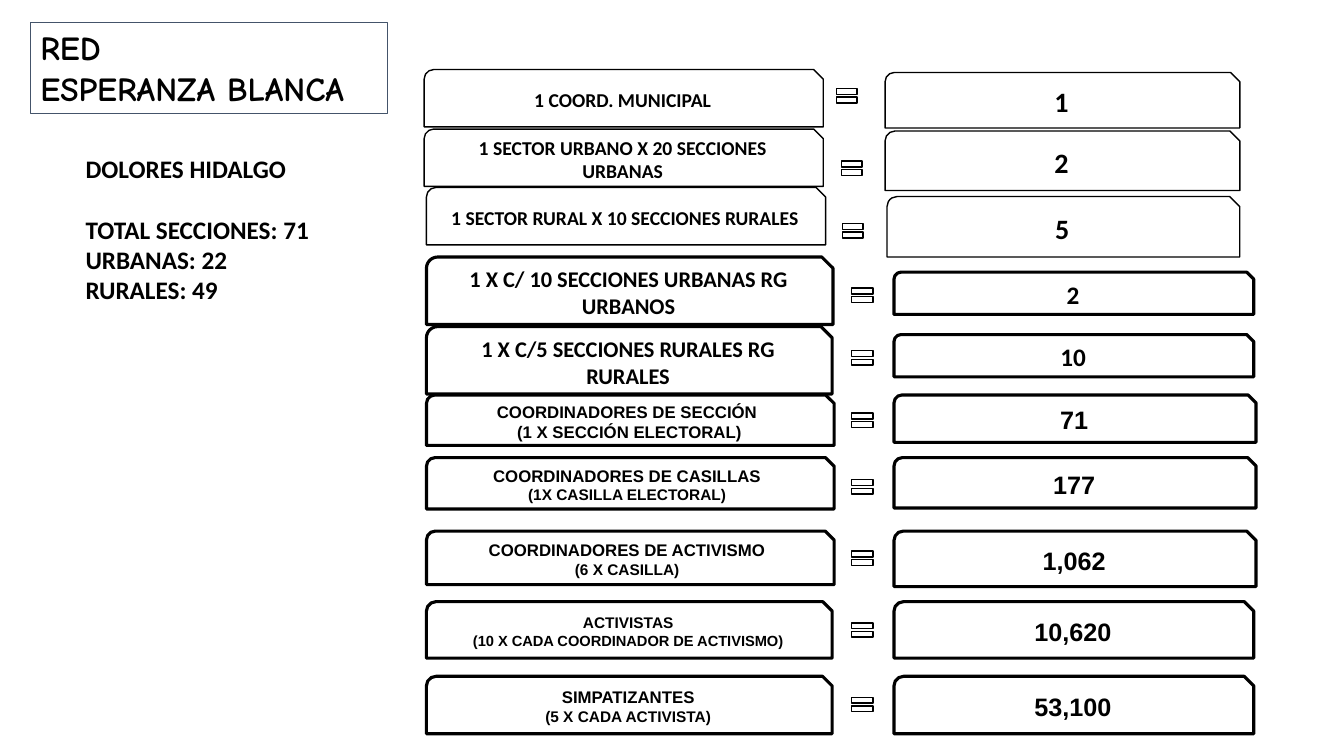
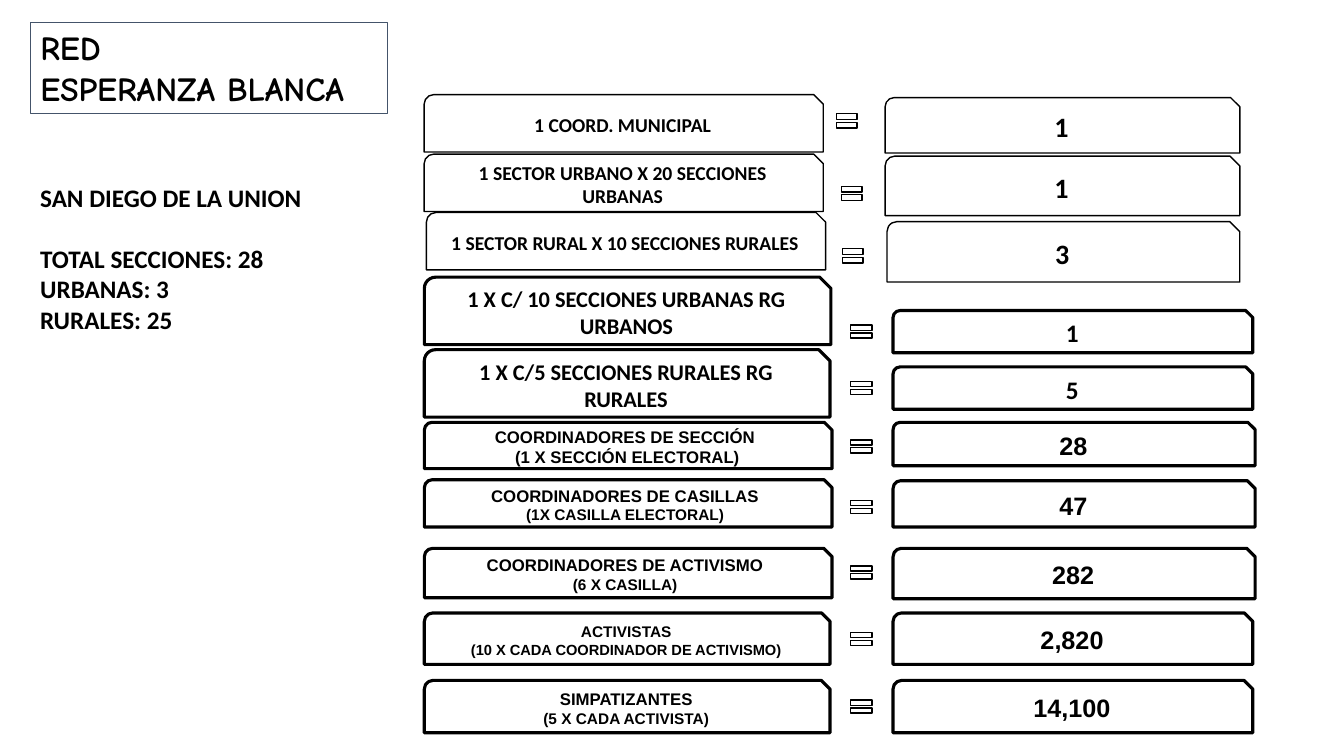
from collections import namedtuple

from pptx import Presentation
from pptx.dml.color import RGBColor
from pptx.enum.shapes import MSO_SHAPE
from pptx.enum.text import MSO_ANCHOR, PP_ALIGN
from pptx.util import Pt

BLACK = RGBColor(0x00, 0x00, 0x00)
WHITE = RGBColor(0xFF, 0xFF, 0xFF)
SLATE = RGBColor(0x44, 0x54, 0x6A)
BODY_FONT, ROLE_FONT, TITLE_FONT = "Calibri", "Arial", "Comic Neue"
THIN, THICK = 1, 2.25
TITLE_ONLY = 5

Sector = namedtuple("Sector", "label label_left label_top equal_left equal_top value_box")
Role = namedtuple("Role", "lines font value_size label_width value_width anchor")
Band = namedtuple("Band", "label_top label_height value_top value_height equal_top")
Network = namedtuple(
    "Network",
    "info info_left info_top sector_shift sector_values "
    "label_left value_left equal_left equal_height bands role_values",
)

SECTORS = [
    Sector("1 COORD. MUNICIPAL", 303, 49.7, 594.7, 59.8, (632.2, 51.8, 253.4, 39.6)),
    Sector("1 SECTOR URBANO X 20 SECCIONES URBANAS", 303, 92.2, 598.3, 111.6,
           (632.2, 93.6, 253.4, 42.5)),
    Sector("1 SECTOR RURAL X 10 SECCIONES RURALES", 304.6, 133.9, 599, 156.2,
           (633.6, 140.4, 252, 43.2)),
]

TOP, MIDDLE = MSO_ANCHOR.TOP, MSO_ANCHOR.MIDDLE
ROLES = [
    Role([("1 X C/ 10 SECCIONES URBANAS RG URBANOS", 16)], BODY_FONT, 18, 290.4, 257, TOP),
    Role([("1 X C/5 SECCIONES RURALES RG RURALES", 16)], BODY_FONT, 18, 289.8, 257, TOP),
    Role([("COORDINADORES DE SECCIÓN ", 12), ("(1 X SECCIÓN ELECTORAL)", 12)],
         ROLE_FONT, 18, 291.2, 258.6, MIDDLE),
    Role([("COORDINADORES DE CASILLAS ", 12), ("(1X CASILLA ELECTORAL) ", 11)],
         ROLE_FONT, 18, 291.2, 258.6, MIDDLE),
    Role([("COORDINADORES DE ACTIVISMO ", 12), ("(6 X CASILLA) ", 11)],
         ROLE_FONT, 18, 291.2, 258.6, MIDDLE),
    Role([("ACTIVISTAS", 11), ("(10 X CADA COORDINADOR DE ACTIVISMO)", 10.5)],
         ROLE_FONT, 18, 289.8, 257, MIDDLE),
    Role([("SIMPATIZANTES", 12), ("(5 X CADA ACTIVISTA)", 11)],
         ROLE_FONT, 18, 289.8, 257, MIDDLE),
]

DOLORES = Network(
    info=["DOLORES HIDALGO", "TOTAL SECCIONES: 71", "URBANAS: 22", "RURALES: 49"],
    info_left=54, info_top=105.8, sector_shift=0, sector_values=["1", "2", "5"],
    label_left=304.6, value_left=638.6, equal_left=605.5, equal_height=17.3,
    bands=[
        Band(183.6, 48.2, 194.4, 30.2, 202.3),
        Band(233.3, 48.2, 239, 30.2, 247),
        Band(282.2, 36, 282.2, 33.8, 291.6),
        Band(326.9, 36.7, 326.9, 36, 339.1),
        Band(379.4, 38.2, 379.4, 39.6, 390.2),
        Band(429.8, 40.3, 429.8, 40.3, 441.4),
        Band(483.1, 41, 483.1, 41, 494.6),
    ],
    role_values=["2", "10", "71", "177", "1,062", "10,620", "53,100"],
)

SAN_DIEGO = Network(
    info=["SAN DIEGO DE LA UNION", "TOTAL SECCIONES: 28", "URBANAS: 3", "RURALES: 25"],
    info_left=21.6, info_top=126.7, sector_shift=17.9, sector_values=["1", "1", "3"],
    label_left=303.1, value_left=637.9, equal_left=604.8, equal_height=15.8,
    bands=[
        Band(198, 48.2, 221.8, 30.2, 229),
        Band(249.8, 48.2, 262.1, 30.2, 269.3),
        Band(301.7, 33.1, 301.7, 31, 311),
        Band(342.7, 33.8, 343.4, 33.1, 354.2),
        Band(391.7, 35.3, 391.7, 36, 401),
        Band(437.8, 36.7, 437.8, 36.7, 448.6),
        Band(486, 37.4, 486, 37.4, 496.8),
    ],
    role_values=["1", "5", "28", "47", "282", "2,820", "14,100"],
)


def write_lines(frame, lines, font, align, anchor):
    frame.word_wrap = True
    frame.vertical_anchor = anchor
    for index, (text, size) in enumerate(lines):
        paragraph = frame.paragraphs[0] if index == 0 else frame.add_paragraph()
        paragraph.alignment = align
        run = paragraph.add_run()
        run.text = text
        run.font.name = font
        run.font.size = Pt(size)
        run.font.bold = True
        run.font.color.rgb = BLACK


def place(shape, left, top, width, height):
    shape.left, shape.top = Pt(left), Pt(top)
    shape.width, shape.height = Pt(width), Pt(height)


def add_outlined(slide, preset, box, weight):
    shape = slide.shapes.add_shape(preset, *[Pt(length) for length in box])
    shape.shadow.inherit = False
    shape.fill.solid()
    shape.fill.fore_color.rgb = WHITE
    shape.line.color.rgb = BLACK
    shape.line.width = Pt(weight)
    return shape


def add_card(slide, box, lines, font, weight, anchor=MIDDLE):
    card = add_outlined(slide, MSO_SHAPE.SNIP_ROUND_RECTANGLE, box, weight)
    write_lines(card.text_frame, lines, font, PP_ALIGN.CENTER, anchor)


def add_equal(slide, left, top, width, height):
    add_outlined(slide, MSO_SHAPE.MATH_EQUAL, (left, top, width, height), THIN)


def set_title(slide):
    title = slide.shapes.title
    place(title, 21.6, 15.8, 254.9, 65.5)
    title.line.color.rgb = SLATE
    title.line.width = Pt(0.75)
    write_lines(title.text_frame, [("RED ", 24), ("ESPERANZA BLANCA", 24)],
                TITLE_FONT, PP_ALIGN.LEFT, TOP)


def add_info(slide, network):
    box = slide.shapes.add_textbox(Pt(network.info_left), Pt(network.info_top),
                                   Pt(203), Pt(116.6))
    write_lines(box.text_frame, [(line, 18) for line in network.info],
                BODY_FONT, PP_ALIGN.LEFT, TOP)
    box.text_frame.paragraphs[1].space_before = Pt(22)


def add_roles(slide, network):
    for role, band, value in zip(ROLES, network.bands, network.role_values):
        add_card(slide, (network.label_left, band.label_top, role.label_width, band.label_height),
                 role.lines, role.font, THICK, role.anchor)
        add_card(slide, (network.value_left, band.value_top, role.value_width, band.value_height),
                 [(value, role.value_size)], role.font, THICK, role.anchor)
        add_equal(slide, network.equal_left, band.equal_top, 20.9, network.equal_height)


def add_sectors(slide, network):
    shift = network.sector_shift
    for sector, value in zip(SECTORS, network.sector_values):
        add_card(slide, (sector.label_left, sector.label_top + shift, 285.1, 41),
                 [(sector.label, 14)], BODY_FONT, THIN)
        add_equal(slide, sector.equal_left, sector.equal_top + shift, 20.2, 17.3)
        left, top, width, height = sector.value_box
        add_card(slide, (left, top + shift, width, height), [(value, 20)], BODY_FONT, THIN)


def main():
    deck = Presentation()
    deck.slide_width, deck.slide_height = Pt(960), Pt(540)
    for network in (DOLORES, SAN_DIEGO):
        slide = deck.slides.add_slide(deck.slide_layouts[TITLE_ONLY])
        set_title(slide)
        add_roles(slide, network)
        add_info(slide, network)
        add_sectors(slide, network)
    deck.save("out.pptx")


main()
